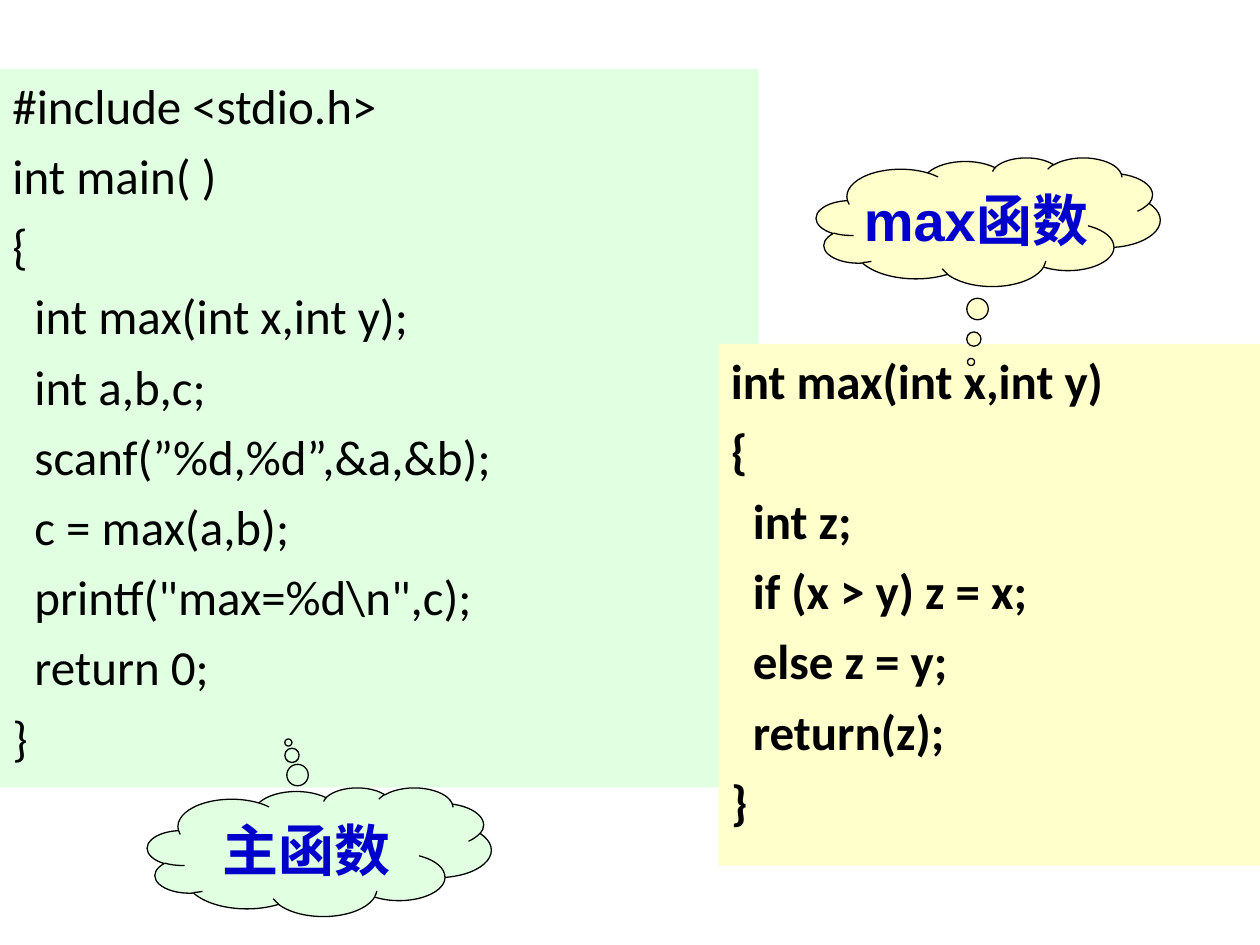
from pptx import Presentation
from pptx.dml.color import RGBColor
from pptx.enum.shapes import MSO_SHAPE as Shape
from pptx.enum.text import MSO_ANCHOR as Anchor, PP_ALIGN as Align
from pptx.util import Pt

GREEN = RGBColor(0xE1, 0xFF, 0xE1)
YELLOW = RGBColor(0xFF, 0xFF, 0xCC)
BLACK = RGBColor(0, 0, 0)
BLUE = RGBColor(0, 0, 0xCC)

CODE_INDENT = 12.6
MAIN_CODE = r"""#include <stdio.h>
int main( )
{
  int max(int x,int y);
  int a,b,c;
  scanf(”%d,%d”,&a,&b);
  c = max(a,b);
  printf("max=%d\n",c);
  return 0;
}"""
MAX_CODE = """int max(int x,int y)
{
  int z;
  if (x > y) z = x;
  else z = y;
  return(z);
}"""


def add_text(paragraph, text, *, size, font, color, bold=False, align=Align.LEFT, before=0, indent=0):
    """Write one formatted run into a paragraph."""
    paragraph.alignment = align
    paragraph.space_before = Pt(before)
    if indent:
        paragraph._p.get_or_add_pPr().set("marL", str(Pt(indent)))
    run = paragraph.add_run()
    run.text = text
    run.font.size = Pt(size)
    run.font.name = font
    run.font.bold = bold
    run.font.color.rgb = color


def add_panel(slide, kind, box, fill, anchor):
    """Add a filled shape without shadow or outline."""
    shape = slide.shapes.add_shape(kind, *map(Pt, box))
    shape.shadow.inherit = False
    shape.fill.solid()
    shape.fill.fore_color.rgb = fill
    shape.line.fill.background()
    shape.text_frame.vertical_anchor = anchor
    return shape


def add_code(slide, box, fill, code, bold=False):
    """Add a code listing with one paragraph per line."""
    frame = add_panel(slide, Shape.RECTANGLE, box, fill, Anchor.TOP).text_frame
    frame.word_wrap = True
    for number, line in enumerate(code.splitlines()):
        paragraph = frame.add_paragraph() if number else frame.paragraphs[0]
        indent = CODE_INDENT if line.startswith(" ") else 0
        add_text(paragraph, line.strip(), size=28, font="Calibri", color=BLACK,
                 bold=bold, before=6.5, indent=indent)


def add_cloud(slide, left, top, fill, text, tail):
    """Add a cloud callout whose tail points at its listing."""
    shape = add_panel(slide, Shape.CLOUD_CALLOUT, (left, top, 196.5, 73.5), fill, Anchor.MIDDLE)
    shape.adjustments[0], shape.adjustments[1] = tail
    shape.line.color.rgb = BLACK
    shape.line.width = Pt(0.75)
    shape.text_frame.word_wrap = False
    add_text(shape.text_frame.paragraphs[0], text, size=32, font="Arial",
             color=BLUE, bold=True, align=Align.CENTER)


def main():
    """Build the slide and save it."""
    presentation = Presentation()
    presentation.slide_width, presentation.slide_height = Pt(720), Pt(540)
    slide = presentation.slides.add_slide(presentation.slide_layouts[6])
    add_code(slide, (0, 39.5, 433.5, 410.5), GREEN, MAIN_CODE)
    add_code(slide, (410.5, 196.5, 309.5, 298), YELLOW, MAX_CODE, bold=True)
    add_cloud(slide, 84.25, 450, GREEN, "主函数", (-0.09, -0.85))
    add_cloud(slide, 466.5, 90, YELLOW, "max函数", (-0.05, 1.09))
    presentation.save("out.pptx")


if __name__ == "__main__":
    main()
